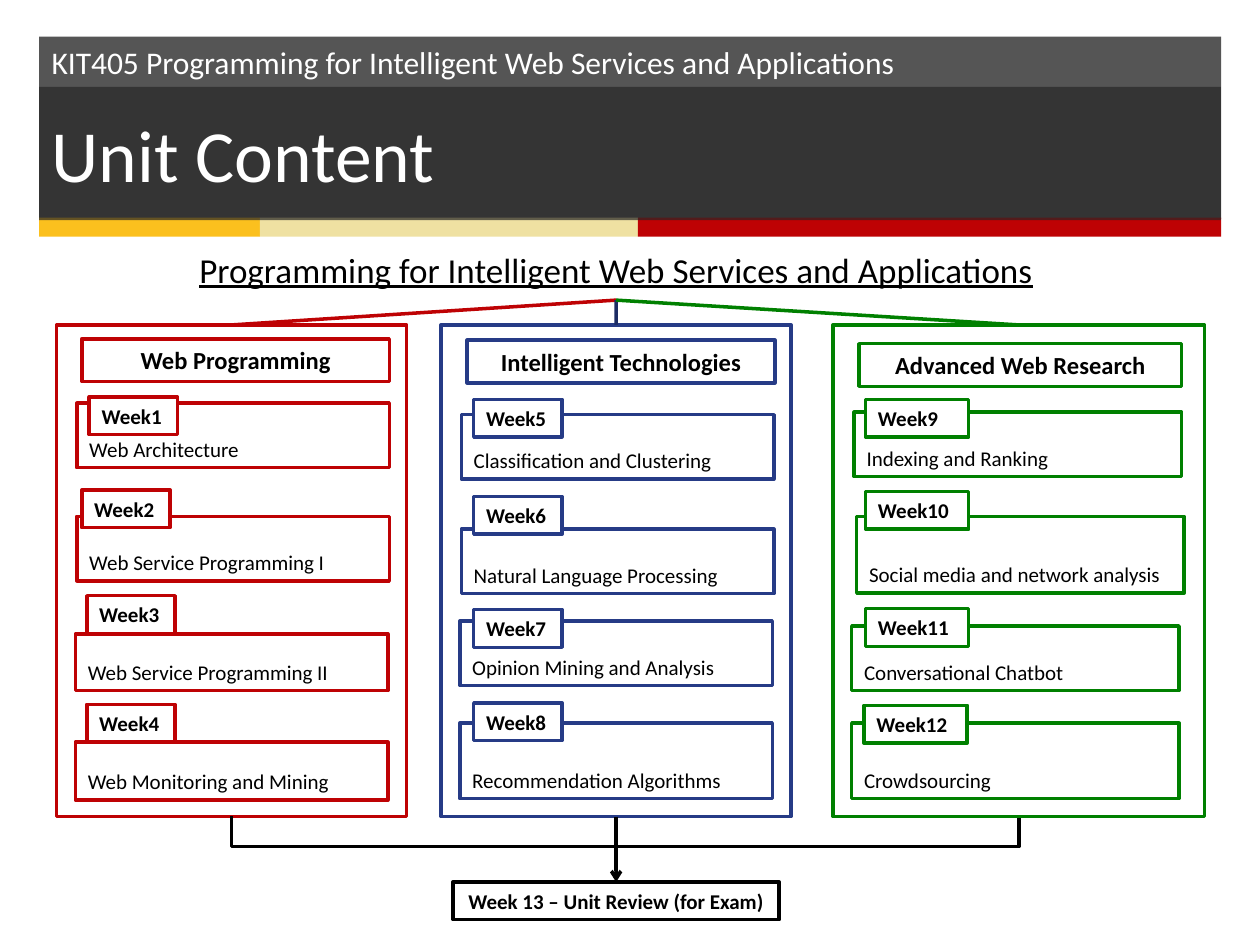
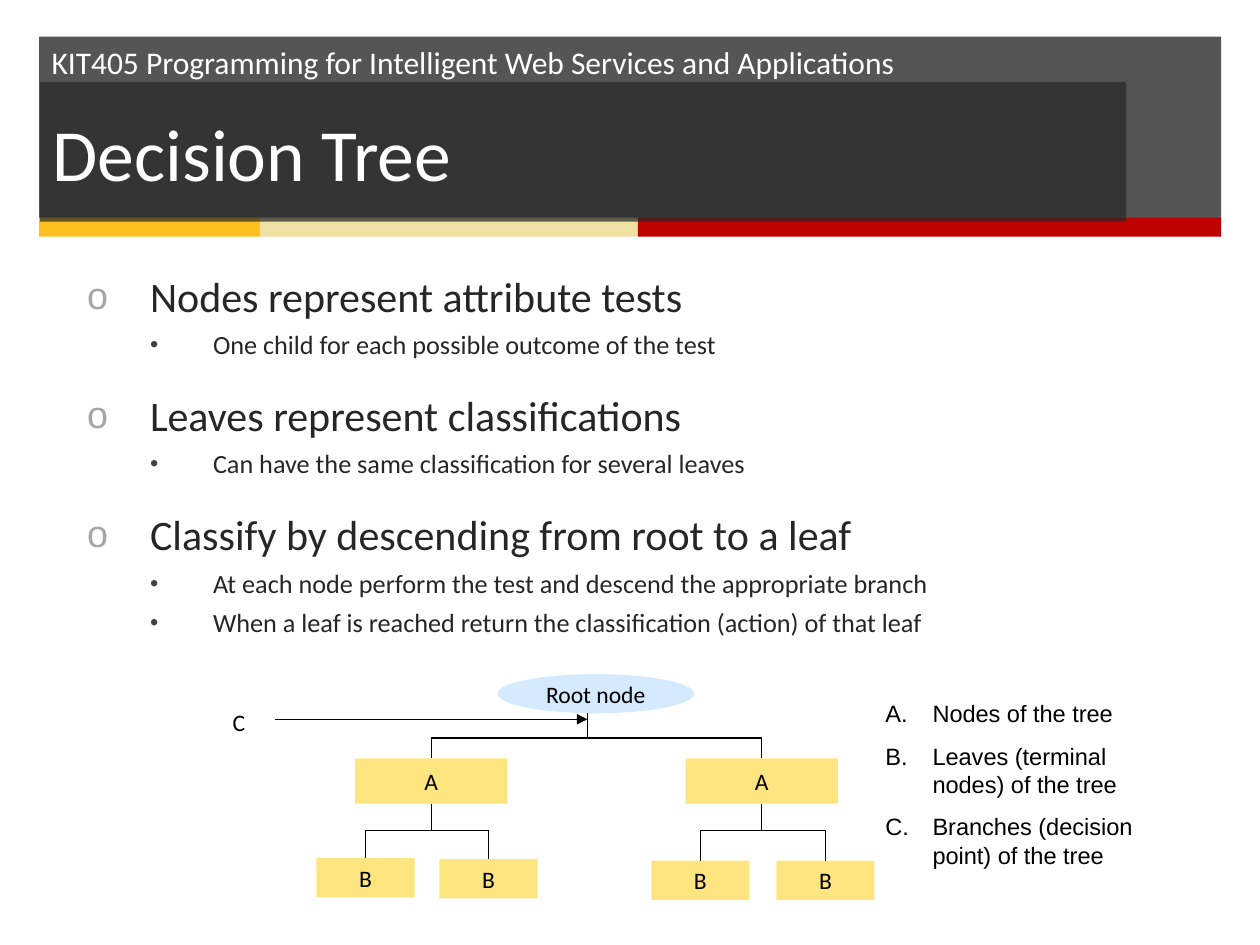
from lxml import etree
from pptx import Presentation
from pptx.dml.color import RGBColor
from pptx.enum.shapes import MSO_CONNECTOR, MSO_SHAPE
from pptx.enum.text import MSO_ANCHOR, MSO_AUTO_SIZE, PP_ALIGN
from pptx.oxml.ns import qn
from pptx.util import Cm, Pt

RECT, ELLIPSE = MSO_SHAPE.RECTANGLE, MSO_SHAPE.OVAL
STRAIGHT, ELBOW = MSO_CONNECTOR.STRAIGHT, MSO_CONNECTOR.ELBOW
LEFT, CENTER = PP_ALIGN.LEFT, PP_ALIGN.CENTER
TOP, MIDDLE, BOTTOM = MSO_ANCHOR.TOP, MSO_ANCHOR.MIDDLE, MSO_ANCHOR.BOTTOM
NO_FIT = MSO_AUTO_SIZE.NONE
SIDE_TOP, SIDE_BOTTOM = 0, 2

BLACK, WHITE = "000000", "FFFFFF"
RED, BLUE, NAVY, GREEN = "BE0204", "263B86", "1C2C64", "008000"
GOLD, CREAM = "FBC01E", "EFE1A2"
BAND, TITLE_BAR = "0D0D0D", "262626"
ROOT_FILL, NODE_FILL = "99CCFF", "FFCC00"

PLAIN = dict(size=12, font="Calibri", color=BLACK, bold=False, underline=False,
             align=LEFT, level=0, before=0, spacing=1.0,
             margin=0, hanging=0, bullet=None, bullet_color=None, numbering=None)


def block(slide, at, text="", holder=None, shape=RECT, fill=None, opacity=100,
          outline=None, anchor=MIDDLE, wrap=True, **style):
    """Place a box; text is a string or a list of (words, own format) pairs."""
    left, top, width, height = (Cm(v) for v in at)
    if holder is not None:
        box = holder
        box.left, box.top, box.width, box.height = left, top, width, height
    elif fill:
        box = slide.shapes.add_shape(shape, left, top, width, height)
    else:
        box = slide.shapes.add_textbox(left, top, width, height)
    box.shadow.inherit = False
    if fill:
        box.fill.solid()
        box.fill.fore_color.rgb = RGBColor.from_string(fill)
        if opacity < 100:
            tint = box.element.spPr.find(qn("a:solidFill"))[0]
            etree.SubElement(tint, qn("a:alpha")).set("val", str(opacity * 1000))
    if outline:
        box.line.color.rgb = RGBColor.from_string(outline)
        box.line.width = Pt(2)
    else:
        box.line.fill.background()

    frame = box.text_frame
    frame.word_wrap = wrap
    frame.auto_size = NO_FIT
    frame.vertical_anchor = anchor
    items = [(text, {})] if isinstance(text, str) else text
    for i, (words, own) in enumerate(items):
        look = {**PLAIN, **style, **own}
        par = frame.add_paragraph() if i else frame.paragraphs[0]
        par.alignment = look["align"]
        par.level = look["level"]
        par.line_spacing = look["spacing"]
        par.space_before = Pt(look["before"] if i else 0)
        props = par._p.get_or_add_pPr()
        if look["margin"]:
            props.set("marL", str(Cm(look["margin"])))
            props.set("indent", str(-Cm(look["hanging"])))
        if look["bullet"]:
            tint = etree.SubElement(props, qn("a:buClr"))
            etree.SubElement(tint, qn("a:srgbClr")).set("val", look["bullet_color"])
            etree.SubElement(props, qn("a:buSzPct")).set("val", "90000")
            etree.SubElement(props, qn("a:buFont")).set("typeface", "Arial")
            etree.SubElement(props, qn("a:buChar")).set("char", look["bullet"])
        if look["numbering"]:
            etree.SubElement(props, qn("a:buAutoNum")).set("type", look["numbering"])
        if words:
            run = par.add_run()
            run.text = words
            run.font.name = look["font"]
            run.font.size = Pt(look["size"])
            run.font.bold = look["bold"]
            run.font.underline = look["underline"]
            run.font.color.rgb = RGBColor.from_string(look["color"])
    return box


def link(slide, start, end, kind=STRAIGHT, color=BLACK, width=0.75, arrow=None):
    """Draw a line; each end is an (x, y) point or a (shape, side) pair."""
    joined = [not isinstance(e[0], (int, float)) for e in (start, end)]
    points = [(0, 0) if j else (Cm(e[0]), Cm(e[1])) for j, e in zip(joined, (start, end))]
    wire = slide.shapes.add_connector(kind, *points[0], *points[1])
    if joined[0]:
        wire.begin_connect(*start)
    if joined[1]:
        wire.end_connect(*end)
    wire.line.color.rgb = RGBColor.from_string(color)
    wire.line.width = Pt(width)
    if arrow:
        etree.SubElement(wire.line._get_or_add_ln(), qn("a:tailEnd")).set("type", arrow)
    etree.SubElement(wire.element.spPr, qn("a:effectLst"))
    return wire


prs = Presentation()
prs.slide_width, prs.slide_height = Cm(25.4), Cm(19.05)
content = prs.slides.add_slide(prs.slide_layouts[5])
tree = prs.slides.add_slide(prs.slide_layouts[1])

# Shared header band, stripes and unit name, moved to the slide master
header = [block(content, (0.79, 0.74, 23.83, 3.68), fill=BAND, opacity=70)]
stripe_left = 0.79
for stripe_width, stripe_color in ((4.45, GOLD), (7.62, CREAM), (11.76, RED)):
    header.append(block(content, (stripe_left, 4.39, stripe_width, 0.38), fill=stripe_color))
    stripe_left += stripe_width
header.append(block(content, (0.79, 0.74, 20.68, 1.02),
                    "KIT405 Programming for Intelligent Web Services and Applications",
                    size=18, color=WHITE, anchor=TOP))
for n, part in enumerate(header):
    part.element.xpath("./p:nvSpPr/p:cNvPr")[0].set("id", str(100 + n))
    prs.slide_master.shapes.element.append(part.element)

# Titles
for slide, title, at in (
    (content, "Unit Content", (0.79, 1.75, 23.82, 2.69)),
    (tree, "Decision Tree", (0.81, 1.65, 21.89, 2.82)),
):
    block(slide, at, title, holder=slide.shapes.title, fill=TITLE_BAR, opacity=70,
          size=42, color=WHITE)

# Slide 1: unit name above three streams of four weeks
unit = block(content, (3.55, 4.8, 17.74, 1.25),
             "Programming for Intelligent Web Services and Applications",
             fill=WHITE, size=20, underline=True, align=CENTER)

# color, link color, panel (left, width), heading, heading box, label and topic widths,
# weeks: topic, label (left, top), topic box (left, top, height)
streams = [
    (RED, RED, (1.14, 7.06), "Web Programming", (1.65, 6.83, 6.2, 0.86), 1.78, 6.3, [
        ("Web Architecture", (1.8, 8.0), (1.55, 8.13, 1.3)),
        ("Web Service Programming I", (1.65, 9.88), (1.55, 10.41, 1.3)),
        ("Web Service Programming II", (1.75, 12.01), (1.52, 12.78, 1.14)),
        ("Web Monitoring and Mining", (1.75, 14.2), (1.52, 14.96, 1.17)),
    ]),
    (BLUE, NAVY, (8.89, 7.06), "Intelligent Technologies", (9.42, 6.86, 6.2, 0.86), 1.78, 6.3, [
        ("Classification and Clustering", (9.55, 8.05), (9.3, 8.36, 1.3)),
        ("Natural Language Processing", (9.55, 10.01), (9.3, 10.67, 1.3)),
        ("Opinion Mining and Analysis", (9.55, 12.29), (9.27, 12.52, 1.3)),
        ("Recommendation Algorithms", (9.55, 14.17), (9.27, 14.58, 1.52)),
    ]),
    (GREEN, GREEN, (16.79, 7.49), "Advanced Web Research", (17.32, 6.93, 6.5, 0.86), 2.08, 6.6, [
        ("Indexing and Ranking", (17.45, 8.05), (17.22, 8.31, 1.3)),
        ("Social media and network analysis", (17.45, 9.91), (17.27, 10.41, 1.55)),
        ("Conversational Chatbot", (17.45, 12.27), (17.17, 12.62, 1.3)),
        ("Crowdsourcing", (17.42, 14.22), (17.17, 14.58, 1.52)),
    ]),
]
panels = []
week = 0
for color, link_color, (left, width), heading, heading_at, label_w, topic_w, weeks in streams:
    panel = block(content, (left, 6.55, width, 9.91), fill=WHITE, outline=color)
    panels.append(panel)
    link(content, (unit, SIDE_BOTTOM), (panel, SIDE_TOP), color=link_color, width=2)
    block(content, heading_at, heading, fill=WHITE, outline=color,
          size=14, bold=True, align=CENTER)
    for topic, label_at, (topic_left, topic_top, topic_h) in weeks:
        week += 1
        block(content, (topic_left, topic_top, topic_w, topic_h), topic,
              fill=WHITE, outline=color, anchor=BOTTOM)
        block(content, (*label_at, label_w, 0.76), f"Week{week}",
              fill=WHITE, outline=color, bold=True)

# Review week, fed by all three streams
review = block(content, (9.13, 17.78, 6.58, 0.76), "Week 13 – Unit Review (for Exam)",
               fill=WHITE, outline=BLACK, bold=True, align=CENTER, wrap=False)
bracket = link(content, (12.62, 8.53), (12.59, 24.41), kind=ELBOW, width=2)
bracket.element.spPr.find(qn("a:xfrm")).set("rot", "16200000")
bend = etree.SubElement(bracket.element.spPr.find(qn("a:prstGeom")).find(qn("a:avLst")), qn("a:gd"))
bend.set("name", "adj1")
bend.set("fmla", "val 2033333")
link(content, (panels[1], SIDE_BOTTOM), (review, SIDE_TOP), width=2, arrow="arrow")

# Slide 2: bullet list
point = dict(size=24, before=20, margin=1.27, hanging=1.27, bullet="o", bullet_color="A6A6A6")
detail = dict(size=15, before=6, level=1, margin=2.54, hanging=1.27,
              bullet="•", bullet_color="404040")
block(tree, (1.5, 5.44, 21.89, 8.41), [
    ("Nodes represent attribute tests", point),
    ("One child for each possible outcome of the test", detail),
    ("Leaves represent classifications", point),
    ("Can have the same classification for several leaves", detail),
    ("Classify by descending from root to a leaf", point),
    ("At each node perform the test and descend the appropriate branch", detail),
    ("When a leaf is reached return the classification (action) of that leaf", detail),
], holder=tree.placeholders[1], anchor=TOP, color="262626", spacing=0.9)

# Tree diagram: root, two nodes, two leaves under each
node_text = dict(size=13.5, align=CENTER, wrap=False)
trunk_x, branch_y, fork_y = 11.84, 14.88, 16.74
block(tree, (10.03, 13.59, 3.96, 0.79), "Root node", shape=ELLIPSE,
      fill=ROOT_FILL, opacity=40, **node_text)
link(tree, (trunk_x, 14.38), (trunk_x, branch_y))
node_w, leaf_w = 3.07, 1.98
branch_xs = []
for node_left, leaves in ((7.16, ((6.38, 17.3), (8.86, 17.32))),
                          (13.82, ((13.13, 17.35), (15.65, 17.35)))):
    node = block(tree, (node_left, 15.29, node_w, 0.91), "A",
                 fill=NODE_FILL, opacity=50, **node_text)
    node_x = node_left + node_w / 2
    branch_xs.append(node_x)
    link(tree, (node_x, branch_y), (node, SIDE_TOP))
    link(tree, (node, SIDE_BOTTOM), (node_x, fork_y))
    fork_xs = []
    for leaf_left, leaf_top in leaves:
        leaf = block(tree, (leaf_left, leaf_top, leaf_w, 0.79), "B",
                     fill=NODE_FILL, opacity=50, **node_text)
        fork_xs.append(leaf_left + leaf_w / 2)
        link(tree, (fork_xs[-1], fork_y), (leaf, SIDE_TOP))
    link(tree, (fork_xs[0], fork_y), (fork_xs[1], fork_y))
link(tree, (branch_xs[0], branch_y), (branch_xs[1], branch_y))

# Branch marker and legend
block(tree, (4.09, 14.1, 1.45, 0.91), "C", **node_text)
link(tree, (5.54, 14.5), (trunk_x, 14.5), arrow="triangle")
block(tree, (17.6, 13.97, 6.3, 4.29), [
    ("Nodes of the tree", {}),
    ("Leaves (terminal nodes) of the tree", {}),
    ("Branches (decision point) of the tree", {}),
], anchor=TOP, font="Arial", size=13.5, before=8, margin=0.95, hanging=0.95,
    numbering="alphaUcPeriod")

prs.save("out.pptx")
